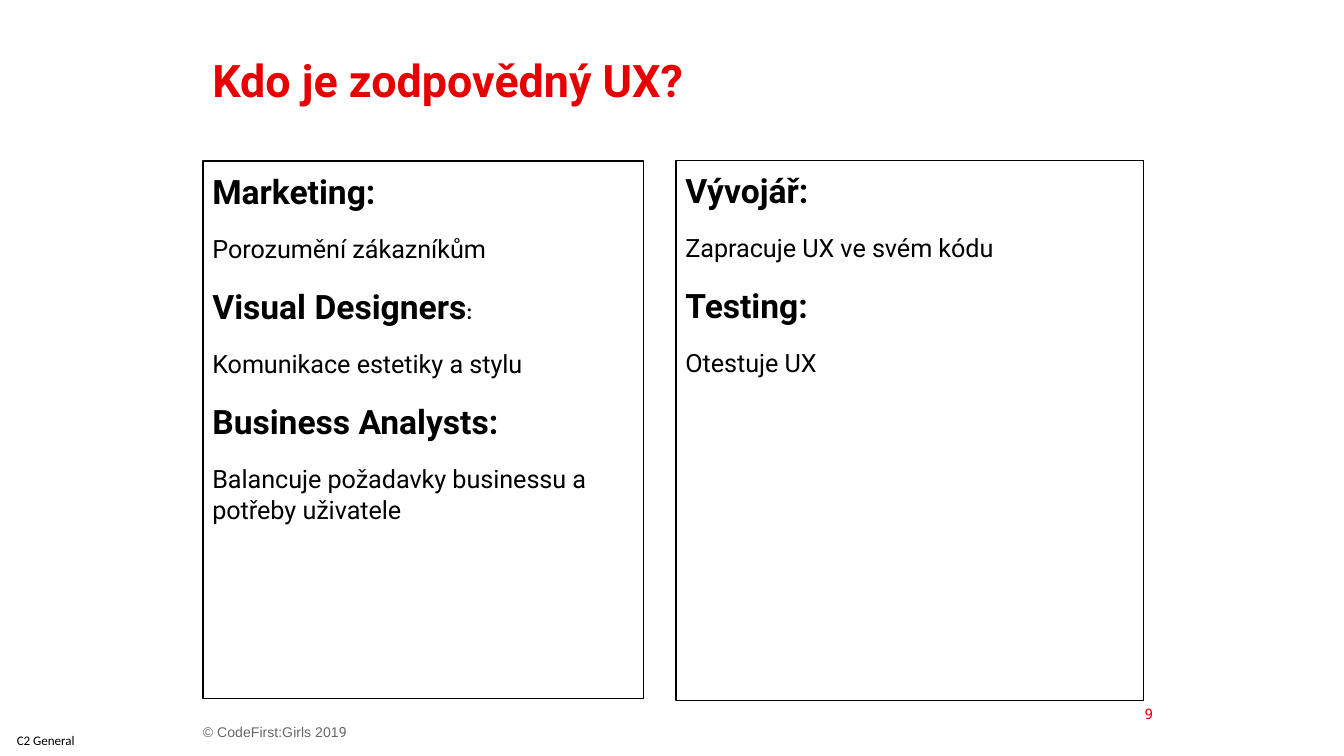
from lxml import etree
from pptx import Presentation
from pptx.dml.color import RGBColor
from pptx.enum.text import MSO_ANCHOR, MSO_AUTO_SIZE, PP_ALIGN
from pptx.oxml.ns import qn
from pptx.util import Inches, Pt

TOP, MIDDLE = MSO_ANCHOR.TOP, MSO_ANCHOR.MIDDLE
LEFT, CENTER, RIGHT = PP_ALIGN.LEFT, PP_ALIGN.CENTER, PP_ALIGN.RIGHT
NO_FIT = MSO_AUTO_SIZE.NONE
RED, BLACK, GREY = "E60000", "000000", "666666"

deck = Presentation()
deck.slide_width, deck.slide_height = Inches(10), Inches(5.625)
COLUMN, ROW = deck.slide_width / 100, deck.slide_height / 100
slide = deck.slides.add_slide(deck.slide_layouts[3])


def place(box, left, top, width, height, inset=0.07, anchor=TOP):
    box.left, box.width = int(left * COLUMN), int(width * COLUMN)
    box.top, box.height = int(top * ROW), int(height * ROW)
    frame = box.text_frame
    frame.word_wrap, frame.auto_size = True, NO_FIT
    frame.vertical_anchor = anchor
    frame.margin_left = frame.margin_right = Inches(inset)
    frame.margin_top = frame.margin_bottom = Inches(inset)
    return frame


def style(font, size, color, name="Roboto", bold=False):
    font.size, font.name, font.bold = Pt(size), name, bold
    font.color.rgb = RGBColor.from_string(color)


title, left_roles, right_roles = slide.placeholders
heading = place(title, 15.1, 5.7, 69.9, 15.6).paragraphs[0]
heading.text = "Kdo je zodpovědný UX?"
heading.alignment = LEFT
style(heading.font, 24, RED, bold=True)

role_columns = [
    (left_roles, (15.1, 21.3, 32.8, 71.1), [
        ("Marketing:", "Porozumění zákazníkům"),
        ("Visual Designers", "Komunikace estetiky a stylu"),
        ("Business Analysts:", "Balancuje požadavky businessu a potřeby uživatele"),
    ]),
    (right_roles, (50.3, 21.2, 34.8, 71.5), [
        ("Vývojář:", "Zapracuje UX ve svém kódu"),
        ("Testing:", "Otestuje UX"),
    ]),
]
for panel, area, roles in role_columns:
    frame = place(panel, *area)
    panel.line.color.rgb = RGBColor.from_string(BLACK)
    panel.line.width = Pt(0.75)
    lines = [line for role, duty in roles for line in ((role, 18, True), (duty, 13.5, False))]
    for number, (wording, size, bold) in enumerate(lines):
        paragraph = frame.add_paragraph() if number else frame.paragraphs[0]
        paragraph.text = wording
        paragraph.space_before = Pt(12 if number else 0)
        properties = paragraph._p.get_or_add_pPr()
        properties.set("marL", "0")
        properties.set("indent", "0")
        etree.SubElement(properties, qn("a:buNone"))
        style(paragraph.font, size, BLACK, bold=bold)
        if wording == "Visual Designers":
            colon = paragraph.add_run()
            colon.text = ":"
            colon.font.size = Pt(10.5)

small_prints = [
    ((0, 95.9, 6.8, 4.1, 0, MIDDLE), CENTER, 7, BLACK, [("C2 General", "Calibri")]),
    ((82, 90.7, 4.5, 7.6, 0.07, MIDDLE), RIGHT, 7.5, RED, [("9", "DejaVu Sans Mono")]),
    ((14.4, 94.5, 20.4, 3.9), LEFT, 7.5, GREY,
     [("© CodeFirst:Girls 201", "Arial"), ("9", "Roboto")]),
]
for area, alignment, size, color, pieces in small_prints:
    note = place(slide.shapes.add_textbox(0, 0, 0, 0), *area).paragraphs[0]
    note.alignment = alignment
    style(note.font, size, color, pieces[0][1])
    for wording, typeface in pieces:
        piece = note.add_run()
        piece.text = wording
        if typeface != pieces[0][1]:
            piece.font.name = typeface

deck.save("out.pptx")
